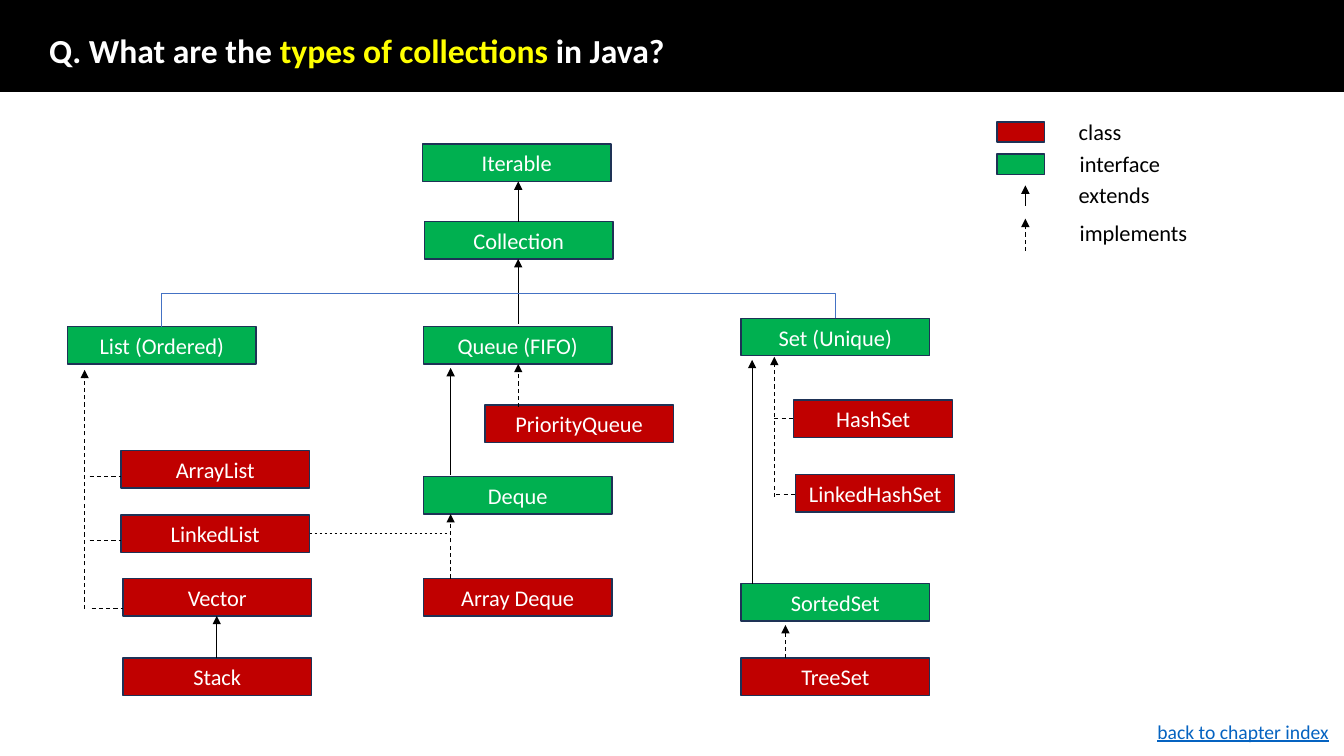
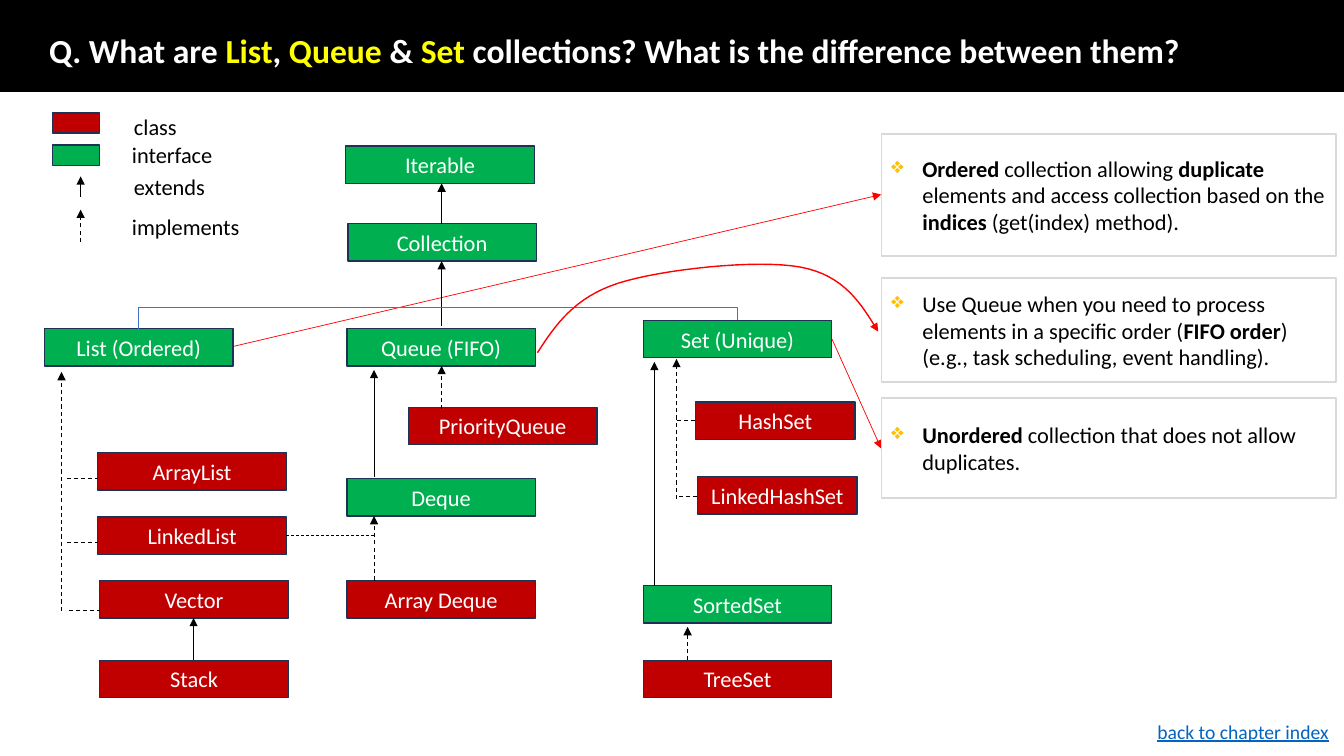
from pptx import Presentation
from pptx.dml.color import RGBColor
from pptx.enum.dml import MSO_LINE as Dash
from pptx.enum.shapes import MSO_CONNECTOR as Link, MSO_SHAPE as Shape
from pptx.enum.text import MSO_ANCHOR as Anchor, PP_ALIGN as Align
from pptx.oxml import parse_xml
from pptx.oxml.ns import nsdecls, qn
from pptx.util import Pt

SCALE = 9144
WIDE, HIGH = 1333, 750
BOX_W, BOX_H = 187, 37
FONT = "Calibri"
BLACK, WHITE = "000000", "FFFFFF"
RED, GREEN, NAVY = "C00000", "00B050", "1E3256"
YELLOW, GOLD, BRIGHT = "FFFF00", "FFC000", "FF0000"
BLUE, GREY, LINK = "4472C4", "D9D9D9", "0563C1"

LIST_BOXES = [("List (Ordered)", 0, 324, GREEN), ("ArrayList", 53, 447, RED),
              ("LinkedList", 53, 511, RED), ("Vector", 55, 574, RED),
              ("Stack", 55, 653, RED)]
QUEUE_BOXES = [("Iterable", -1, 143, GREEN), ("Collection", 1, 220, GREEN),
               ("Queue (FIFO)", 0, 324, GREEN), ("PriorityQueue", 61, 402, RED),
               ("Deque", 0, 473, GREEN), ("Array Deque", 0, 574, RED)]
SET_BOXES = [("Set (Unique)", 0, 316, GREEN), ("HashSet", 52, 397, RED, 158),
             ("LinkedHashSet", 54, 471, RED, 158), ("SortedSet", 0, 579, GREEN),
             ("TreeSet", 0, 653, RED)]

LIST_LINES = {"extends": [(148, 653, 611)], "implements": [(17, 604, 367)],
              "stubs": [(22, 53, 473), (22, 53, 536), (24, 55, 604)]}
QUEUE_LINES = {"extends": [(94, 220, 180), (94, 321, 257), (27, 471, 365)],
               "implements": [(27, 574, 510), (94, 404, 361)], "stubs": []}
SET_LINES = {"extends": [(11, 579, 357)],
             "implements": [(33, 493, 354), (44, 653, 620)],
             "stubs": [(33, 52, 415), (35, 55, 491)]}


def px(size):
    """Turn px into EMU."""
    return round(size * SCALE)


def paint(part, color):
    """Give a fill or a font a colour."""
    if hasattr(part, "solid"):
        part.solid()
        part = part.fore_color
    else:
        part = part.color
    part.rgb = RGBColor.from_string(color)


def node(tag, **marks):
    """Make an empty drawing element."""
    item = parse_xml(f"<a:{tag} {nsdecls('a')}/>")
    for key, value in marks.items():
        item.set(key, value)
    return item


def bullet(para):
    """Hang a gold diamond before a paragraph."""
    props = para._p.get_or_add_pPr()
    props.set("marL", str(px(31)))
    props.set("indent", str(-px(31)))
    tint = node("buClr")
    tint.append(node("srgbClr", val=GOLD))
    props.append(tint)
    props.append(node("buChar", char="❖"))


def write(shape, words, size=16, color=BLACK, mark=None, bold=False, heavy=False,
          align=Align.LEFT, anchor=Anchor.MIDDLE, space=None, line=False, dot=False):
    """Fill a shape with text, where stars enclose marked words."""
    frame = shape.text_frame
    frame.word_wrap = True
    frame.vertical_anchor = anchor
    para = frame.paragraphs[0]
    para.alignment = align
    if space:
        para.line_spacing = space
    if dot:
        bullet(para)
    for place, part in enumerate(words.split("*")):
        if not part:
            continue
        odd = place % 2 == 1
        run = para.add_run()
        run.text = part
        font = run.font
        font.name, font.size = FONT, Pt(size)
        font.bold = bold or (heavy and odd)
        font.underline = line
        paint(font, mark if mark and odd else color)


def curve(points, steps=16):
    """Trace joined cubic curves as a list of points."""
    trail = [points[0]]
    for first in range(0, len(points) - 1, 3):
        a, b, c, d = points[first:first + 4]
        for step in range(1, steps + 1):
            t = step / steps
            u = 1 - t
            trail.append(tuple(
                u ** 3 * a[k] + 3 * u * u * t * b[k] + 3 * u * t * t * c[k] + t ** 3 * d[k]
                for k in (0, 1)))
    return trail


class Deck:
    """Hold the style and the current slide."""

    def __init__(self):
        """Start an empty show."""
        self.show = Presentation()
        self.show.slide_width, self.show.slide_height = px(WIDE), px(HIGH)
        self.shapes = None

    def page(self, title):
        """Add a slide with its band, title and link."""
        self.shapes = self.show.slides.add_slide(self.show.slide_layouts[6]).shapes
        self.rect(0, 0, WIDE, 91, BLACK, BLACK)
        self.label(39, 35, 1170, 35, title, size=24, color=WHITE, mark=YELLOW,
                   bold=True, space=0.9)
        self.label(1138, 709, 195, 34, "back to chapter index", size=14, color=LINK,
                   line=True, anchor=Anchor.TOP)

    def rect(self, x, y, w, h, fill, edge=NAVY):
        """Draw a plain box."""
        box = self.shapes.add_shape(Shape.RECTANGLE, px(x), px(y), px(w), px(h))
        box.shadow.inherit = False
        paint(box.fill, fill)
        paint(box.line.fill, edge)
        box.line.width = Pt(1)
        return box

    def label(self, x, y, w, h, words, **look):
        """Place free text."""
        write(self.shapes.add_textbox(px(x), px(y), px(w), px(h)), words, **look)

    def card(self, y, h, words):
        """Draw a note with a bullet."""
        write(self.rect(874, y, 451, h, WHITE, GREY), words, heavy=True, dot=True)

    def line(self, x1, y1, x2, y2, color=BLACK, width=0.5, dash=False, arrow=False,
             kind=Link.STRAIGHT):
        """Draw a line or an arrow."""
        link = self.shapes.add_connector(kind, px(x1), px(y1), px(x2), px(y2))
        paint(link.line.fill, color)
        link.line.width = Pt(width)
        if dash:
            link.line.dash_style = Dash.DASH
        props = link.element.spPr
        if arrow:
            props.get_or_add_ln().append(node("tailEnd", type="triangle"))
        props.append(node("effectLst"))
        return link

    def bracket(self, x1, y1, x2, y2, bar):
        """Join two boxes by an elbow that rises to a bar."""
        mid_x, mid_y = (x1 + x2) / 2, (y1 + y2) / 2
        half_w, half_h = (y1 - y2) / 2, (x2 - x1) / 2
        link = self.line(mid_x + half_w, mid_y + half_h, mid_x - half_w, mid_y - half_h,
                         color=BLUE, kind=Link.ELBOW)
        props = link.element.spPr
        props.find(qn("a:xfrm")).set("rot", "5400000")
        bend = round((y1 - bar) / (y1 - y2) * 100000)
        props.find(qn("a:prstGeom")).find(qn("a:avLst")).append(
            node("gd", name="adj1", fmla=f"val {bend}"))

    def swoop(self, points):
        """Draw a curved red arrow."""
        trail = [(px(x), px(y)) for x, y in curve(points)]
        pen = self.shapes.build_freeform(*trail[0])
        pen.add_line_segments(trail[1:], close=False)
        path = pen.convert_to_shape()
        path.shadow.inherit = False
        path.fill.background()
        paint(path.line.fill, BRIGHT)
        path.line.width = Pt(1)
        path.element.spPr.get_or_add_ln().append(node("tailEnd", type="triangle"))

    def column(self, x, drop, boxes, lines):
        """Draw one branch of the tree."""
        for name, dx, y, fill, *w in boxes:
            box = self.rect(x + dx, y + drop, w[0] if w else BOX_W, BOX_H, fill)
            write(box, name, color=WHITE, align=Align.CENTER)
        for dx, y1, y2 in lines["extends"]:
            self.line(x + dx, y1 + drop, x + dx, y2 + drop, arrow=True)
        for dx, y1, y2 in lines["implements"]:
            self.line(x + dx, y1 + drop, x + dx, y2 + drop, width=0.75, dash=True,
                      arrow=True)
        for x1, x2, y in lines["stubs"]:
            self.line(x + x1, y + drop, x + x2, y + drop, width=0.75, dash=True)

    def tree(self, list_x, queue_x, set_x, drop, bar):
        """Draw the whole type tree."""
        self.column(list_x, drop, LIST_BOXES, LIST_LINES)
        self.column(queue_x, drop, QUEUE_BOXES, QUEUE_LINES)
        self.column(set_x, drop, SET_BOXES, SET_LINES)
        self.line(list_x + 240, 529 + drop, queue_x + 27, 529 + drop, dash=True)
        self.bracket(list_x + 93, 324 + drop, set_x + 93, 316 + drop, bar)

    def legend(self, x, y, spots):
        """Draw the key to boxes and arrows."""
        self.rect(x, y, 47, 20, RED)
        self.rect(x, y + 32, 47, 20, GREEN)
        self.line(x + 28, y + 83, x + 28, y + 63, arrow=True)
        self.line(x + 28, y + 128, x + 28, y + 96, width=0.75, dash=True, arrow=True)
        names = ("class", "interface", "extends", "implements")
        for name, (left, top) in zip(names, spots):
            self.label(left, top, 152, BOX_H, name, anchor=Anchor.TOP)


def main():
    """Build both slides."""
    deck = Deck()
    deck.page("Q. What are the *types of collections* in Java?")
    deck.tree(67, 420, 735, 0, 291)
    deck.legend(989, 121, [(1060, 112), (1061, 144), (1060, 175), (1061, 213)])

    deck.page("Q. What are *List*, *Queue* & *Set* collections? "
              "What is the difference between them?")
    deck.line(825, 336, 874, 445, color=BRIGHT, arrow=True)
    deck.card(133, 121, "*Ordered* collection allowing *duplicate* elements and access "
                        "collection based on the *indices* (get(index) method).")
    deck.card(276, 103, "Use Queue when you need to process elements in a specific order "
                        "(*FIFO order*) (e.g., task scheduling, event handling).")
    deck.card(395, 99, "*Unordered* collection that does not allow duplicates.")
    deck.line(230, 344, 874, 193, color=BRIGHT, arrow=True)
    deck.tree(44, 344, 638, 2, 305)
    deck.legend(52, 112, [(123, 107), (121, 135), (123, 167), (121, 207)])
    deck.swoop([(533, 350), (551, 322), (570, 295), (613, 281), (657, 267),
                (751, 257), (794, 265), (837, 273), (854, 301), (871, 329)])
    deck.show.save("out.pptx")


if __name__ == "__main__":
    main()
